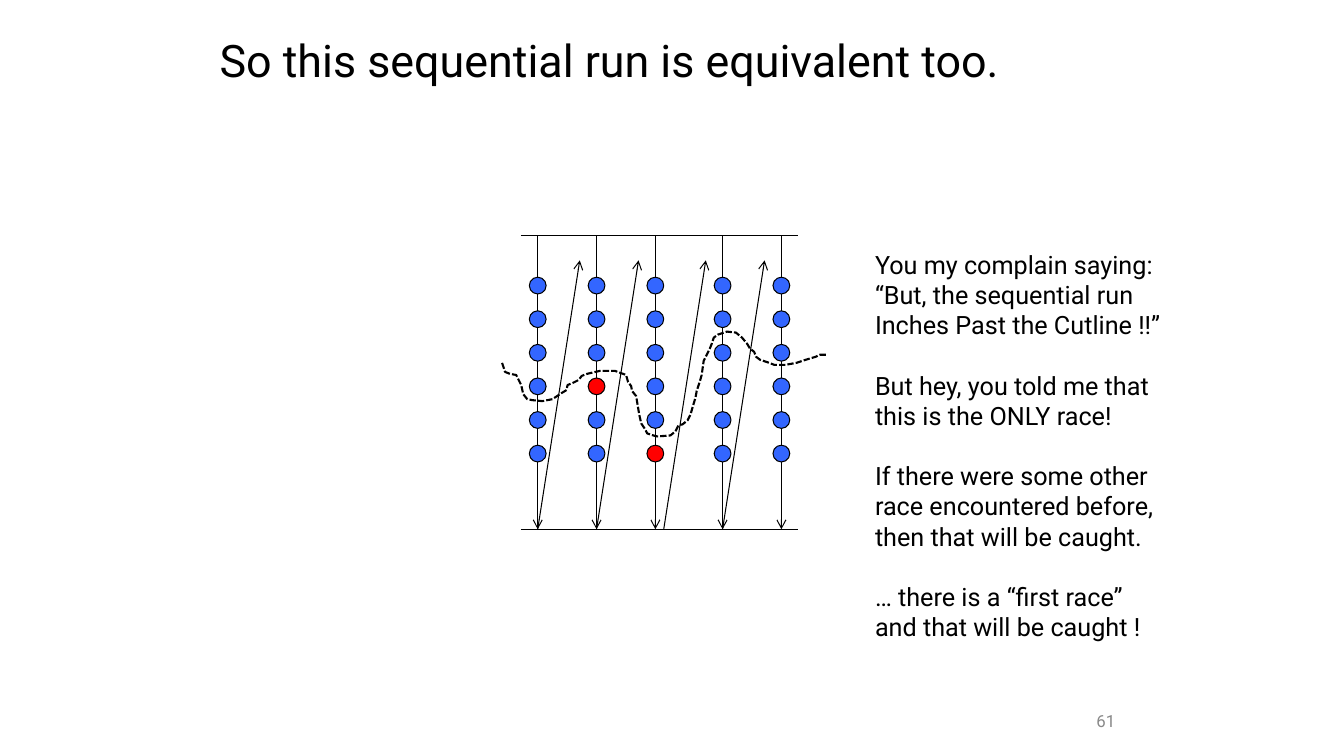
from pptx import Presentation
from pptx.dml.color import RGBColor
from pptx.enum.dml import MSO_LINE
from pptx.enum.shapes import MSO_CONNECTOR, MSO_SHAPE
from pptx.enum.text import MSO_ANCHOR, PP_ALIGN
from pptx.oxml.ns import qn
from pptx.util import Inches, Pt
from lxml.etree import SubElement

TITLE = "So this sequential run is equivalent too."
NUMBER = "61"
NOTES = [
    ["You my complain saying:", "“But, the sequential run",
     "Inches Past the Cutline !!”"],
    ["But hey, you told me that", "this is the ONLY race!"],
    ["If there were some other", "race encountered before,",
     "then that will be caught."],
    ["… there is a “first race”", "and that will be caught !"],
]
FONT, BLACK, GREY, BLUE, RED = "Roboto", "000000", "898989", "3366FF", "FF0000"

# Diagram grid: one unit is a twelfth of an inch
UNIT = Inches(1) // 12
LANES = [64, 71, 78, 86, 93]
RAMPS = [64, 71, 79, 86]
TOP, BOTTOM, LEFT, RIGHT = 28, 63, 62, 95
RISE, RUN = 32, 5
FIRST, STEP, DOTS, SIZE = 33, 4, 6, 2
RACES = {(1, 3), (2, 5)}  # lane, row

CUT = [  # inches
    (4.98, 3.6), (5.01, 3.69), (5.06, 3.71), (5.12, 3.72), (5.17, 3.82),
    (5.19, 3.91), (5.23, 3.96), (5.28, 3.97), (5.38, 3.98), (5.48, 3.96),
    (5.57, 3.9), (5.62, 3.87), (5.63, 3.82), (5.68, 3.8), (5.74, 3.77),
    (5.77, 3.73), (5.82, 3.71), (5.95, 3.68), (6.1, 3.68), (6.21, 3.72),
    (6.23, 3.79), (6.26, 3.83), (6.27, 3.88), (6.31, 3.93), (6.34, 4.11),
    (6.36, 4.2), (6.4, 4.26), (6.42, 4.3), (6.48, 4.32), (6.52, 4.33),
    (6.65, 4.32), (6.7, 4.28), (6.73, 4.22), (6.77, 4.21), (6.82, 4.17),
    (6.85, 4.11), (6.87, 4.04), (6.9, 3.94), (6.91, 3.88), (6.94, 3.79),
    (6.96, 3.72), (6.98, 3.58), (7.04, 3.46), (7.06, 3.41), (7.08, 3.35),
    (7.12, 3.32), (7.21, 3.29), (7.3, 3.3), (7.36, 3.35), (7.41, 3.41),
    (7.44, 3.46), (7.48, 3.49), (7.5, 3.54), (7.54, 3.57), (7.63, 3.6),
    (7.68, 3.62), (7.79, 3.62), (7.9, 3.6), (7.99, 3.57), (8.09, 3.54),
    (8.13, 3.52), (8.21, 3.52),
]


def rgb(code):
    return RGBColor.from_string(code)


def style(line, width=0.75):
    line.color.rgb = rgb(BLACK)
    line.width = Pt(width)


def rule(shapes, x1, y1, x2, y2, arrow=False):
    """Draw a line between two grid points."""
    line = shapes.add_connector(
        MSO_CONNECTOR.STRAIGHT, *(v * UNIT for v in (x1, y1, x2, y2)))
    style(line.line)
    if arrow:
        SubElement(line.line._get_or_add_ln(), qn("a:tailEnd"), type="arrow")
    SubElement(line._element.spPr, qn("a:effectLst"))


def dot(shapes, x, y, color):
    """Draw a dot centred on column x, its top at row y."""
    shape = shapes.add_shape(MSO_SHAPE.OVAL, (x - SIZE // 2) * UNIT, y * UNIT,
                             SIZE * UNIT, SIZE * UNIT)
    shape.shadow.inherit = False
    shape.fill.solid()
    shape.fill.fore_color.rgb = rgb(color)
    style(shape.line)


def write(shapes, box, lines, size, color=BLACK, anchor=MSO_ANCHOR.MIDDLE,
          align=PP_ALIGN.LEFT, wrap=True):
    frame = shapes.add_textbox(*map(Inches, box)).text_frame
    frame.word_wrap = wrap
    frame.vertical_anchor = anchor
    frame.text = "\n".join(lines)
    for para in frame.paragraphs:
        para.alignment = align
        for run in para.runs:
            run.font.name, run.font.size = FONT, Pt(size)
            run.font.color.rgb = rgb(color)
    return frame


def main():
    deck = Presentation()
    deck.slide_width, deck.slide_height = Inches(13.33), Inches(7.5)
    shapes = deck.slides.add_slide(deck.slide_layouts[6]).shapes

    write(shapes, (8.83, 6.95, 2.33, 0.4), [NUMBER], 12, GREY,
          align=PP_ALIGN.RIGHT)
    title = write(shapes, (2.08, 0, 9.5, 1.25), [TITLE], 32)
    title.paragraphs[0].line_spacing = 0.9

    for y in (TOP, BOTTOM):
        rule(shapes, LEFT, y, RIGHT, y)
    for col, x in enumerate(LANES):
        lane = shapes.add_group_shape().shapes
        rule(lane, x, TOP, x, BOTTOM, True)
        for row in range(DOTS):
            dot(lane, x, FIRST + row * STEP,
                RED if (col, row) in RACES else BLUE)
    for x in RAMPS:
        rule(shapes, x, BOTTOM, x + RUN, RISE - 1, True)

    points = [(Inches(x), Inches(y)) for x, y in CUT]
    path = shapes.build_freeform(*points[0])
    path.add_line_segments(points[1:], close=False)
    cut = path.convert_to_shape()
    cut.shadow.inherit = False
    cut.fill.background()
    style(cut.line, 1.5)
    cut.line.dash_style = MSO_LINE.SQUARE_DOT

    notes = write(shapes, (8.58, 2.42, 3.19, 4.04), sum(NOTES, []), 18,
                  anchor=MSO_ANCHOR.TOP, wrap=False)
    start = 0
    for part in NOTES[:-1]:
        start += len(part)
        notes.paragraphs[start].space_before = Pt(21.6)

    deck.save("out.pptx")


if __name__ == "__main__":
    main()
